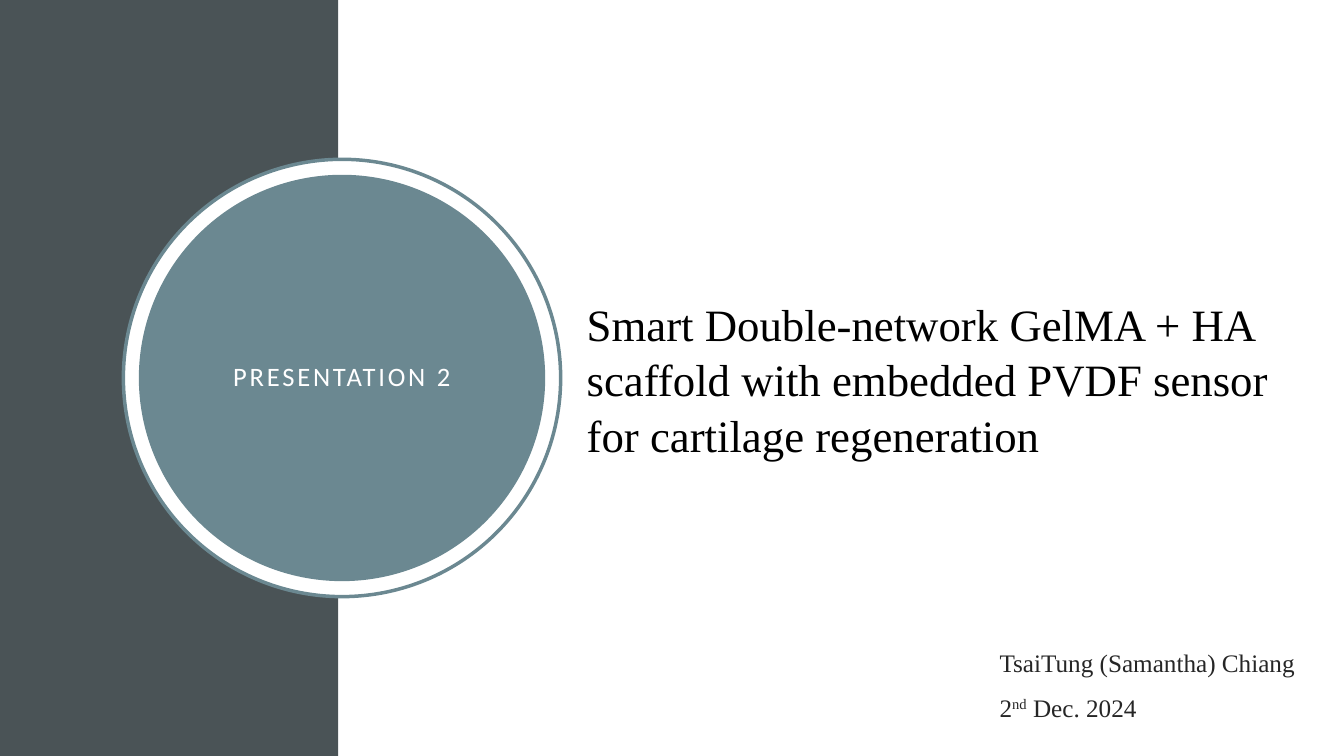
"""Build the title slide of a talk on a cartilage regeneration scaffold."""
from dataclasses import dataclass
from typing import Optional

from pptx import Presentation
from pptx import util as u
from pptx.dml.color import RGBColor
from pptx.enum import shapes, text

SLATE, TEAL, WHITE, BLACK, INK = "4A5356", "6B8891", "FFFFFF", "000000", "262626"
SERIF, SANS = "Times New Roman", "Calibri"
PAGE_WIDTH, PAGE_HEIGHT, BAND_WIDTH = 33.87, 19.05, 8.53
CIRCLE_X, CIRCLE_Y = 8.62, PAGE_HEIGHT / 2


@dataclass
class Panel:
    left: float
    top: float
    width: float
    height: float
    fill: str
    kind: shapes.MSO_SHAPE = shapes.MSO_SHAPE.RECTANGLE
    outline: Optional[str] = None


def color(value: str) -> RGBColor:
    return RGBColor.from_string(value)


def disc(diameter: float, fill: str, outline: Optional[str] = None) -> Panel:
    radius = diameter / 2
    return Panel(CIRCLE_X - radius, CIRCLE_Y - radius, diameter, diameter,
                 fill, shapes.MSO_SHAPE.OVAL, outline)


def draw_panel(page, panel: Panel):
    shape = page.shapes.add_shape(panel.kind, u.Cm(panel.left), u.Cm(panel.top),
                                  u.Cm(panel.width), u.Cm(panel.height))
    shape.shadow.inherit = False
    shape.fill.solid()
    shape.fill.fore_color.rgb = color(panel.fill)
    if panel.outline:
        shape.line.color.rgb = color(panel.outline)
        shape.line.width = u.Pt(2.5)
    else:
        shape.line.fill.background()
    return shape


def format_span(span, name: str, size: float, ink: str) -> None:
    span.font.name = name
    span.font.size = u.Pt(size)
    span.font.color.rgb = color(ink)


def prepare_frame(frame) -> None:
    frame.word_wrap = True
    frame.auto_size = text.MSO_AUTO_SIZE.NONE
    frame.vertical_anchor = text.MSO_ANCHOR.MIDDLE


def write_label(circle) -> None:
    frame = circle.text_frame
    prepare_frame(frame)
    frame.margin_left = frame.margin_right = u.Cm(0.51)
    frame.margin_top = frame.margin_bottom = u.Cm(0.51)
    frame.text = "PRESENTATION 2"
    para = frame.paragraphs[0]
    para.alignment = text.PP_ALIGN.CENTER
    para.line_spacing = 0.9
    para.space_after = u.Pt(6)
    span = para.runs[0]
    format_span(span, SANS, 19, WHITE)
    span.font._element.set("spc", "200")


def write_byline(page) -> None:
    box = page.shapes.add_textbox(u.Cm(24.94), u.Cm(15.76), u.Cm(8.93), u.Cm(3))
    frame = box.text_frame
    prepare_frame(frame)
    frame.text = "TsaiTung (Samantha) Chiang"
    date = frame.add_paragraph()
    for part in ("2", "nd", " Dec. 2024"):
        span = date.add_run()
        span.text = part
        if part == "nd":
            span.font._element.set("baseline", "30000")
    for para in frame.paragraphs:
        para.space_before = u.Pt(10)
        for span in para.runs:
            format_span(span, SERIF, 18, INK)


def write_title(page) -> None:
    title = page.shapes.title
    title.left, title.top = u.Cm(14.53), u.Cm(7.34)
    title.width, title.height = u.Cm(18.01), u.Cm(4.37)
    title.element.getparent().append(title.element)
    frame = title.text_frame
    prepare_frame(frame)
    frame.text = ("Smart Double-network GelMA + HA scaffold with embedded "
                  "PVDF sensor for cartilage regeneration")
    para = frame.paragraphs[0]
    para.alignment = text.PP_ALIGN.LEFT
    para.line_spacing = 1.04
    format_span(para.runs[0], SERIF, 32, BLACK)


def main() -> None:
    deck = Presentation()
    deck.slide_width, deck.slide_height = u.Cm(PAGE_WIDTH), u.Cm(PAGE_HEIGHT)
    page = deck.slides.add_slide(deck.slide_layouts.get_by_name("Title Only"))
    panels = (
        Panel(0, 0, BAND_WIDTH, PAGE_HEIGHT, SLATE),
        Panel(BAND_WIDTH, 0, PAGE_WIDTH - BAND_WIDTH, PAGE_HEIGHT, WHITE),
        disc(11.02, WHITE, TEAL),
    )
    for panel in panels:
        draw_panel(page, panel)
    write_label(draw_panel(page, disc(10.24, TEAL)))
    write_byline(page)
    write_title(page)
    deck.save("out.pptx")


if __name__ == "__main__":
    main()
